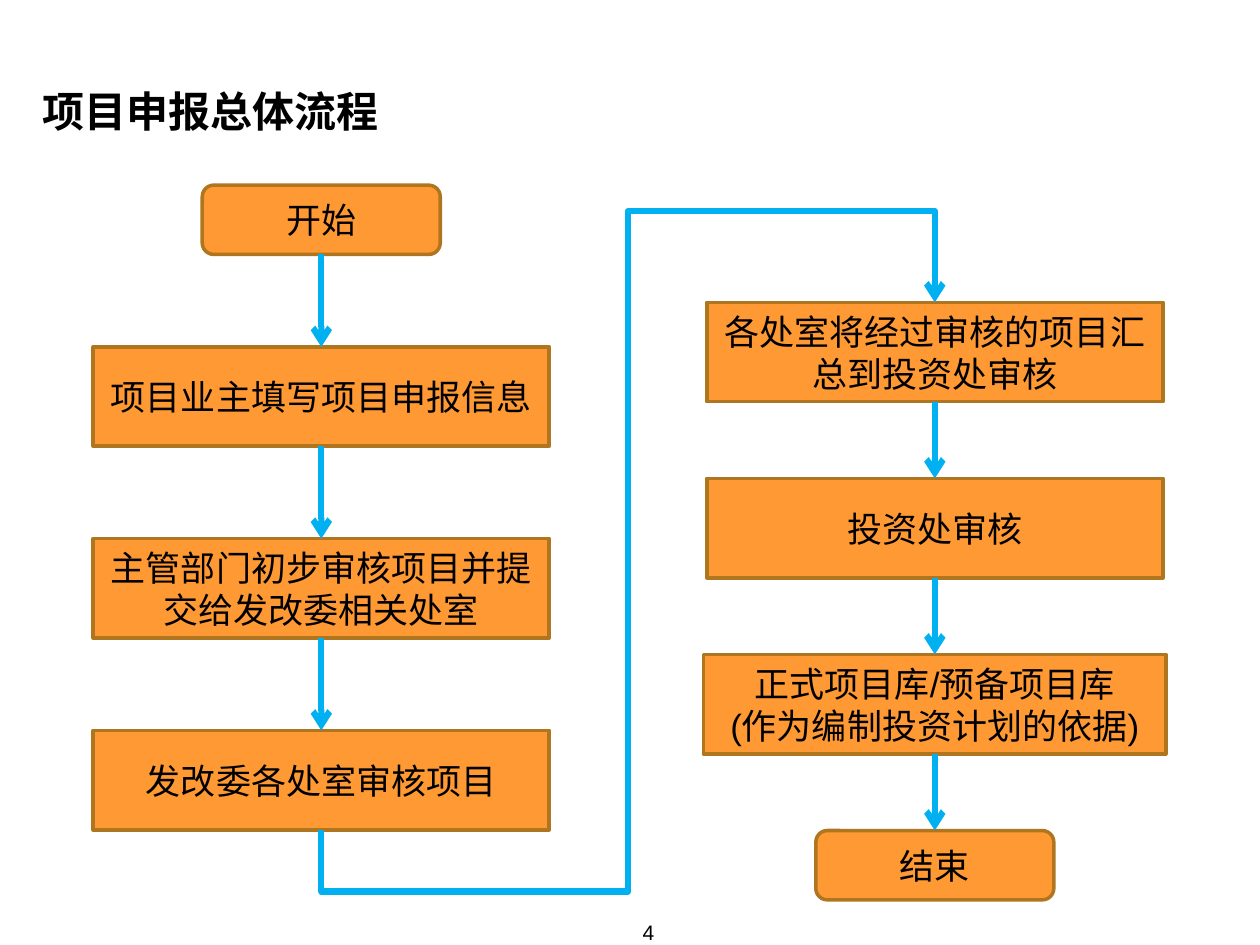
from lxml import etree
from pptx import Presentation
from pptx.dml.color import RGBColor
from pptx.enum.shapes import MSO_CONNECTOR, MSO_SHAPE
from pptx.enum.text import MSO_ANCHOR, MSO_AUTO_SIZE, PP_ALIGN
from pptx.oxml.ns import qn
from pptx.util import Pt

RECT, ROUND = MSO_SHAPE.RECTANGLE, MSO_SHAPE.ROUNDED_RECTANGLE
STRAIGHT, ELBOW = MSO_CONNECTOR.STRAIGHT, MSO_CONNECTOR.ELBOW
LEFT, CENTER = PP_ALIGN.LEFT, PP_ALIGN.CENTER
MIDDLE, BOTTOM = MSO_ANCHOR.MIDDLE, MSO_ANCHOR.BOTTOM

TITLE = "项目申报总体流程"
PAGE = "4"
ORANGE, BROWN, BLUE, BLACK = "FF9933", "B0761F", "00B0F0", "000000"

# Each step: form, width, height, lines of text
END = (ROUND, 136, 39.6)
STEP = (RECT, 260.6, 56.8)
WIDE = (RECT, 264.2, 56.8)

# Each column: centre, top of first step, gap between steps, steps
COLUMNS = [
    (183.6, 105.8, 52.8, [
        (END, ["开始"]),
        (STEP, ["项目业主填写项目申报信息"]),
        (STEP, ["主管部门初步审核项目并提交给发改委相关处室"]),
        (STEP, ["发改委各处室审核项目"]),
    ]),
    (534.2, 172.8, 43.8, [
        (STEP, ["各处室将经过审核的项目汇总到投资处审核"]),
        (STEP, ["投资处审核"]),
        (WIDE, ["正式项目库/预备项目库", "(作为编制投资计划的依据)"]),
        (END, ["结束"]),
    ]),
]
BENDS = (-11700, 50000, 117300)


def color(code):
    return RGBColor.from_string(code)


def write(frame, lines, size, font, align, anchor, bold=False):
    frame.word_wrap = True
    frame.auto_size = MSO_AUTO_SIZE.NONE
    frame.vertical_anchor = anchor
    for i, line in enumerate(lines):
        para = frame.add_paragraph() if i else frame.paragraphs[0]
        para.alignment = align
        run = para.add_run()
        run.text = line
        run.font.size = Pt(size)
        run.font.name = font
        run.font.bold = bold
        run.font.color.rgb = color(BLACK)


def no_inset(frame):
    frame.margin_left = frame.margin_right = 0
    frame.margin_top = frame.margin_bottom = 0


def add_step(mid, top, kind, lines):
    form, wide, high = kind
    box = slide.shapes.add_shape(
        form, Pt(mid - wide / 2), Pt(top), Pt(wide), Pt(high))
    box.shadow.inherit = False
    box.fill.solid()
    box.fill.fore_color.rgb = color(ORANGE)
    box.line.color.rgb = color(BROWN)
    box.line.width = Pt(2)
    write(box.text_frame, lines, 20, "Arial", CENTER, MIDDLE)


def add_arrow(kind, x1, y1, x2, y2):
    arrow = slide.shapes.add_connector(kind, Pt(x1), Pt(y1), Pt(x2), Pt(y2))
    arrow.line.color.rgb = color(BLUE)
    arrow.line.width = Pt(3.5)
    etree.SubElement(arrow.line._get_or_add_ln(), qn("a:tailEnd"), type="arrow")
    etree.SubElement(arrow._element.spPr, qn("a:effectLst"))
    return arrow


def add_loop(x1, y1, x2, y2):
    """Five-part arrow that leaves downwards and comes in from above."""
    wide, high = y1 - y2, x2 - x1
    left, top = (x1 + x2 - wide) / 2, (y1 + y2 - high) / 2
    arrow = add_arrow(ELBOW, left + wide, top + high, left, top)
    arrow.rotation = 90 if hasattr(arrow, "rotation") else 0
    props = arrow._element.spPr
    props.find(qn("a:xfrm")).set("rot", str(90 * 60000))
    geom = props.find(qn("a:prstGeom"))
    geom.set("prst", "bentConnector5")
    guides = geom.find(qn("a:avLst"))
    for i, bend in enumerate(BENDS, 1):
        etree.SubElement(guides, qn("a:gd"), name=f"adj{i}", fmla=f"val {bend}")


deck = Presentation()
deck.slide_width, deck.slide_height = Pt(720), Pt(540)
slide = deck.slides.add_slide(deck.slide_layouts[5])

title = slide.shapes.title
title.left, title.top, title.width, title.height = Pt(24.5), Pt(49), Pt(672), Pt(28.8)
no_inset(title.text_frame)
write(title.text_frame, [TITLE], 24, "Calibri", LEFT, BOTTOM, True)

page = slide.shapes.add_textbox(Pt(367.2), Pt(518.4), Pt(41.8), Pt(21.6))
no_inset(page.text_frame)
write(page.text_frame, [PAGE], 12, "Arial", LEFT, BOTTOM)

ends = []
for mid, first, gap, steps in COLUMNS:
    top = first
    for i, (kind, lines) in enumerate(steps):
        add_step(mid, top, kind, lines)
        if i:
            add_arrow(STRAIGHT, mid, top - gap, mid, top)
        foot = top + kind[2]
        top = foot + gap
    ends.append((mid, first, foot))

(x1, _, foot), (x2, head, _) = ends
add_loop(x1, foot, x2, head)

deck.save("out.pptx")
